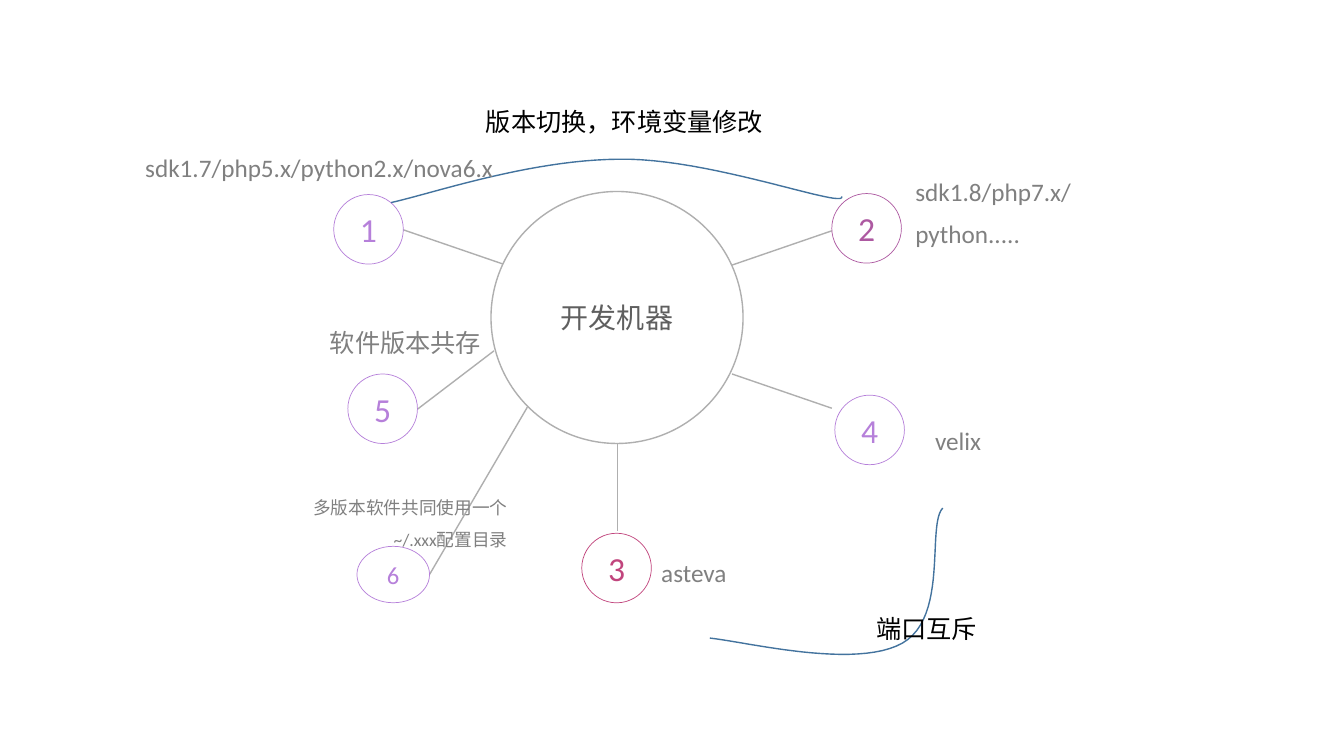
from pptx import Presentation
from pptx.dml.color import RGBColor
from pptx.enum.shapes import MSO_CONNECTOR, MSO_SHAPE
from pptx.enum.text import MSO_ANCHOR, PP_ALIGN
from pptx.oxml.ns import qn
from pptx.util import Inches, Pt
from lxml.etree import SubElement

GREY = RGBColor(0xAF, 0xAF, 0xAF)
DARK = RGBColor(0x5F, 0x5F, 0x5F)
LABEL = RGBColor(0x80, 0x80, 0x80)
BLACK = RGBColor(0, 0, 0)
BLUE = RGBColor(0x43, 0x73, 0x9E)
VIOLET = RGBColor(0xB6, 0x80, 0xDA)
PLUM = RGBColor(0xAD, 0x59, 0xA1)
ROSE = RGBColor(0xC1, 0x45, 0x7D)
LEFT, CENTER, RIGHT = PP_ALIGN.LEFT, PP_ALIGN.CENTER, PP_ALIGN.RIGHT

DOT = 0.69
HUB = ("开发机器", (4.87, 1.9, 2.5, 2.5))
NODES = [
    ("1", (3.31, 1.93, DOT, DOT), VIOLET, 24),
    ("3", (5.77, 5.29, DOT, DOT), ROSE, 24),
    ("2", (8.25, 1.92, DOT, DOT), PLUM, 24),
    ("4", (8.28, 3.92, DOT, DOT), VIOLET, 24),
    ("5", (3.45, 3.71, DOT, DOT), VIOLET, 24),
    ("6", (3.54, 5.42, 0.72, 0.56), VIOLET, 17.6),
]
SPOKES = [
    ((4, 2.28), (4.99, 2.62), 1),
    ((7.26, 2.63), (8.25, 2.29), 1),
    ((6.12, 4.4), (6.12, 5.27), 0.5),
    ((7.26, 3.71), (8.25, 4.05), 1),
    ((4.14, 4.06), (4.9, 3.48), 1),
    ((4.26, 5.7), (5.23, 4.04), 1),
]
LABELS = [
    (["sdk1.7/php5.x/python2.x/nova6.x"], (0.93, 1.34, 4.06, 0.95), RIGHT, 18, LABEL, 1.4),
    (["asteva"], (6.46, 5.36, 1.97, 0.95), LEFT, 18, LABEL, 1.4),
    (["sdk1.8/php7.x/python....."], (8.98, 1.58, 2.7, 0.95), LEFT, 18, LABEL, 1.4),
    (["velix"], (7.86, 4.05, 1.97, 0.95), RIGHT, 18, LABEL, 1.4),
    (["软件版本共存"], (0.81, 3.08, 4.06, 0.95), RIGHT, 18, LABEL, 1.4),
    (["多版本软件共同使用一个", "~/.xxx配置目录"], (0.93, 4.78, 4.2, 0.77), RIGHT, 12.6, LABEL, 1.5),
    (["版本切换，环境变量修改"], (4.72, 1.01, 3.22, 0.4), LEFT, 18, BLACK, 1),
    (["端口互斥"], (8.59, 6.04, 3.41, 0.4), LEFT, 18, BLACK, 1),
]
CURVES = [
    [(3.88, 2.01), (4.29, 1.92), (5.24, 1.59), (6.13, 1.58),
     (7.03, 1.56), (8.39, 2.08), (8.35, 1.95)],
    [(7.04, 6.33), (7.41, 6.37), (8.49, 6.64), (8.95, 6.38),
     (9.41, 6.12), (9.19, 5.21), (9.35, 5.04)],
]
STEPS = 24


def write(tf, lines, align, size, color, spacing=1):
    tf.word_wrap = True
    for i, line in enumerate(lines):
        p = tf.add_paragraph() if i else tf.paragraphs[0]
        p.text = line
        p.alignment = align
        p.line_spacing = spacing
        p.font.name = "Calibri"
        p.font.size = Pt(size)
        p.font.color.rgb = color


def outline(sp, color, width):
    sp.shadow.inherit = False
    sp.fill.background()
    sp.line.color.rgb = color
    sp.line.width = Pt(width)


def add_circle(s, text, box, line_color, width, size, color):
    sp = s.shapes.add_shape(MSO_SHAPE.OVAL, *map(Inches, box))
    outline(sp, line_color, width)
    sp.text_frame.vertical_anchor = MSO_ANCHOR.MIDDLE
    write(sp.text_frame, [text], CENTER, size, color)


def add_spoke(s, start, end, width):
    line = s.shapes.add_connector(MSO_CONNECTOR.STRAIGHT, *map(Inches, start + end))
    line.line.color.rgb = GREY
    line.line.width = Pt(width)
    SubElement(line._element.spPr, qn("a:effectLst"))


def bezier(controls, t):
    weights = ((1 - t) ** 3, 3 * t * (1 - t) ** 2, 3 * t * t * (1 - t), t ** 3)
    return tuple(Inches(sum(w * c for w, c in zip(weights, axis))) for axis in zip(*controls))


def add_curve(s, points):
    trace = [bezier(points[i:i + 4], n / STEPS)
             for i in range(0, len(points) - 1, 3) for n in range(1, STEPS + 1)]
    builder = s.shapes.build_freeform(*map(Inches, points[0]))
    builder.add_line_segments(trace, close=False)
    outline(builder.convert_to_shape(), BLUE, 1)


prs = Presentation()
prs.slide_width, prs.slide_height = Inches(13.33), Inches(7.5)
s = prs.slides.add_slide(prs.slide_layouts[6])

add_circle(s, *HUB, GREY, 1, 20, DARK)
for spoke in SPOKES:
    add_spoke(s, *spoke)
for number, box, color, size in NODES:
    add_circle(s, number, box, color, 0.5, size, color)
for curve in CURVES:
    add_curve(s, curve)
for lines, box, align, size, color, spacing in LABELS:
    tf = s.shapes.add_textbox(*map(Inches, box)).text_frame
    write(tf, lines, align, size, color, spacing)

prs.save("out.pptx")
